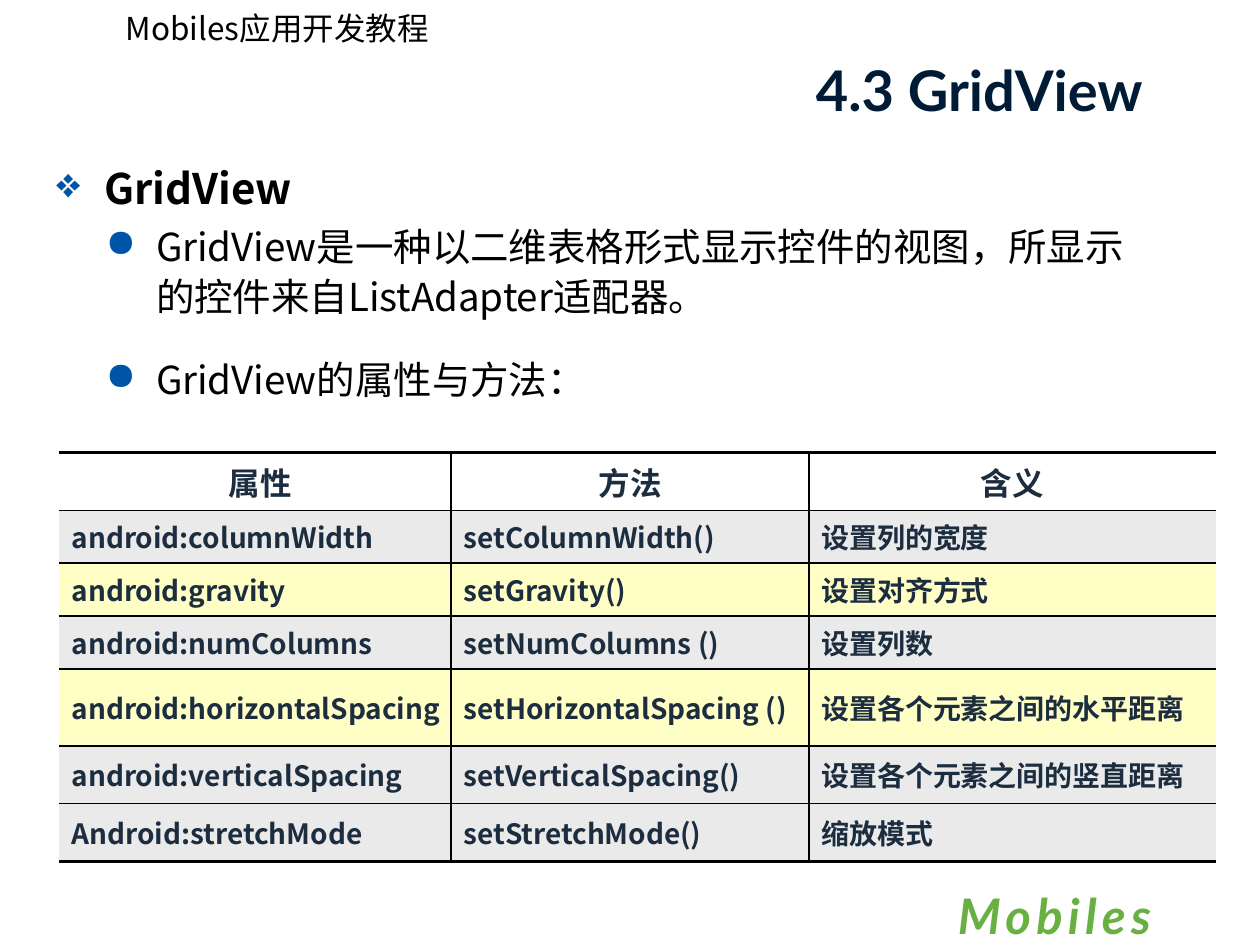
"""Builds the GridView slide: heading, bullet text and a table of attributes."""
from lxml.etree import SubElement as Sub
from pptx import Presentation
from pptx.dml.color import RGBColor
from pptx.enum.text import MSO_ANCHOR as Anchor, PP_ALIGN as Align
from pptx.oxml.ns import qn
from pptx.util import Inches, Pt

CJK, LATIN = "Noto Sans CJK SC", "Lato"


def rgb(value):
    return RGBColor.from_string(value)


def style(p, size, color, name=CJK, bold=False, align=Align.LEFT):
    p.alignment = align
    f = p.font
    f.size, f.bold, f.name = Pt(size), bold, name
    f.color.rgb = rgb(color)
    Sub(f._rPr, qn("a:ea"), typeface=CJK)


prs = Presentation()
prs.slide_width, prs.slide_height = Inches(10), Inches(7.5)
s = prs.slides.add_slide(prs.slide_layouts[5])

title = s.shapes.title
title.left, title.top, title.width, title.height = map(Inches, (1.42, 0.44, 7.75, 0.53))
tf = title.text_frame
tf.text = "4.3 GridView"
tf.vertical_anchor = Anchor.MIDDLE
style(tf.paragraphs[0], 32, "001B36", LATIN, True, Align.RIGHT)

labels = [
    ((0.9, 0.02, 2.69, 0.4), "Mobiles应用开发教程", (18, "000000")),
    ((7.44, 6.98, 1.86, 0.57), "Mobiles", (28, "69B042", LATIN, True, Align.CENTER)),
]
for box, text, look in labels:
    tf = s.shapes.add_textbox(*map(Inches, box)).text_frame
    tf.word_wrap = False
    p = tf.paragraphs[0]
    p.text = text
    style(p, *look)
p.font.italic = True
p.font._rPr.set("spc", "300")

tf = s.shapes.add_textbox(*map(Inches, (0.35, 1.16, 8.74, 2.3))).text_frame
tf.word_wrap = True
points = [
    ("GridView", 0, "❖", 0.38, 0.38, 1.2, 3, 24),
    ("GridView是一种以二维表格形式显示控件的视图，所显示的控件来自ListAdapter适配器。",
     1, "●", 0.79, 0.4, 1.1, 3, 22),
    ("GridView的属性与方法：", 1, "●", 0.79, 0.4, 1.1, 18, 22),
]
for i, (text, level, bullet, margin, hang, spacing, before, size) in enumerate(points):
    p = tf.add_paragraph() if i else tf.paragraphs[0]
    p.text, p.level = text, level
    pPr = p._p.get_or_add_pPr()
    pPr.set("marL", str(Inches(margin)))
    pPr.set("indent", str(-Inches(hang)))
    Sub(Sub(pPr, qn("a:buClr")), qn("a:srgbClr"), val="0054A8")
    Sub(pPr, qn("a:buChar"), char=bullet)
    p.line_spacing, p.space_before = spacing, Pt(before)
    style(p, size, "000000", bold=level == 0)

rows = [
    ("属性", "方法", "含义"),
    ("android:columnWidth", "setColumnWidth()", "设置列的宽度"),
    ("android:gravity", "setGravity()", "设置对齐方式"),
    ("android:numColumns", "setNumColumns ()", "设置列数"),
    ("android:horizontalSpacing", "setHorizontalSpacing ()", "设置各个元素之间的水平距离"),
    ("android:verticalSpacing", "setVerticalSpacing()", "设置各个元素之间的竖直距离"),
    ("Android:stretchMode", "setStretchMode()", "缩放模式"),
]
widths = (3.11, 2.84, 3.23)
heights = (0.46, 0.42, 0.42, 0.42, 0.61, 0.46, 0.46)
fills = ("FFFFFF", "EAEAEA", "FFFFC5", "EAEAEA", "FFFFC5", "EAEAEA", "EAEAEA")
last_row, last_col = len(rows) - 1, len(widths) - 1
table = s.shapes.add_table(len(rows), len(widths), Inches(0.47), Inches(3.59),
                           Inches(sum(widths)), Inches(sum(heights))).table
table.first_row = table.horz_banding = False
for column, width in zip(table.columns, widths):
    column.width = Inches(width)
for r, values in enumerate(rows):
    table.rows[r].height = Inches(heights[r])
    for c, text in enumerate(values):
        cell = table.cell(r, c)
        cell.text = text
        cell.vertical_anchor = Anchor.MIDDLE
        if c == 0:
            cell.margin_right = Inches(0.02)
        style(cell.text_frame.paragraphs[0], 16 if r else 18, "1C2D40", bold=True,
              align=Align.LEFT if r else Align.CENTER)
        borders = {"L": 1 if c else 0, "R": 1 if c < last_col else 0,
                   "T": 1 if r else 2.25, "B": 1 if r < last_row else 2.25}
        tcPr = cell._tc.get_or_add_tcPr()
        for side, weight in borders.items():
            ln = Sub(tcPr, qn(f"a:ln{side}"), w=str(Pt(weight)))
            if weight:
                Sub(Sub(ln, qn("a:solidFill")), qn("a:srgbClr"), val="000000")
            else:
                Sub(ln, qn("a:noFill"))
        cell.fill.solid()
        cell.fill.fore_color.rgb = rgb(fills[r])

prs.save("out.pptx")
